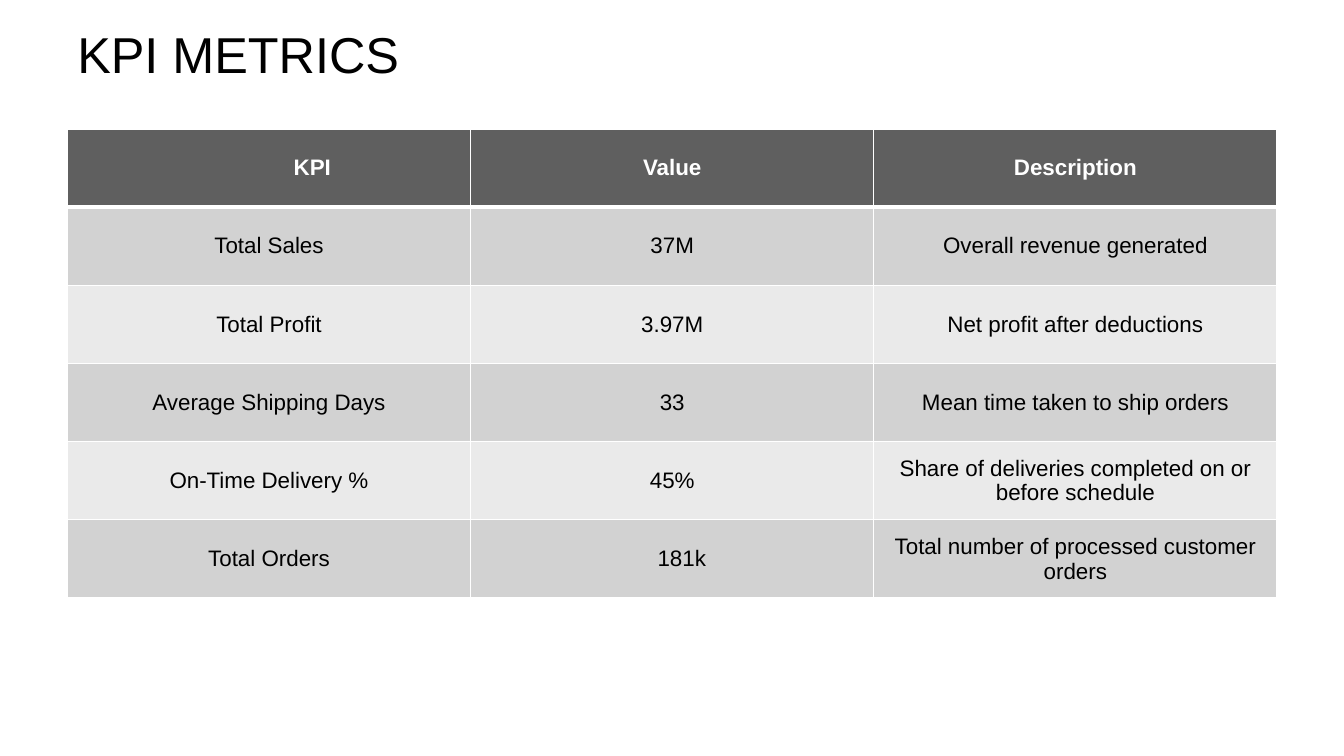
from lxml.etree import SubElement
from pptx import Presentation
from pptx.dml.color import RGBColor
from pptx.enum.text import MSO_ANCHOR as Anchor, PP_ALIGN as Align
from pptx.oxml.ns import qn
from pptx.util import Cm, Pt

WHITE = RGBColor(0xFF, 0xFF, 0xFF)
BLACK = RGBColor(0x00, 0x00, 0x00)
HEADER_GRAY = RGBColor(0x5F, 0x5F, 0x5F)
BANDS = (RGBColor(0xD2, 0xD2, 0xD2), RGBColor(0xEA, 0xEA, 0xEA))

LEFT, CONTENT_WIDTH = Cm(1.7), Cm(30.48)
ROW_HEIGHT = Cm(1.97)

TITLE_FONT = {"name": "Arial", "size": Pt(36), "bold": False}
HEADER_FONT = {"name": "Arial", "size": Pt(16), "bold": True}
BODY_FONT = {"name": "Arial", "size": Pt(16), "bold": False}
CELL_FORMAT = {
    "vertical_anchor": Anchor.MIDDLE,
    "margin_left": 0, "margin_right": 0, "margin_top": 0, "margin_bottom": 0,
}

KPI_ROWS = [
    ("KPI", "Value", "Description"),
    ("Total Sales", "37M", "Overall revenue generated"),
    ("Total Profit", "3.97M", "Net profit after deductions"),
    ("Average Shipping Days", "33", "Mean time taken to ship orders"),
    ("On-Time Delivery %", "45%",
     "Share of deliveries completed on or before schedule"),
    ("Total Orders", "181k", "Total number of processed customer orders"),
]
# Left indents that shift single entries off the column centre
INDENTS = {"KPI": Cm(2.18), "181k": Cm(0.48)}


def apply_format(target, values):
    for name, value in values.items():
        setattr(target, name, value)


def write_text(frame, text, font, color, align):
    paragraph = frame.paragraphs[0]
    paragraph.alignment = align
    run = paragraph.add_run()
    run.text = text
    apply_format(run.font, font)
    run.font.color.rgb = color


def add_title(slide, text):
    title = slide.shapes.add_textbox(LEFT, Cm(0.53), CONTENT_WIDTH, Cm(1.63))
    frame = title.text_frame
    apply_format(frame, {"word_wrap": True, "vertical_anchor": Anchor.MIDDLE})
    write_text(frame, text, TITLE_FONT, BLACK, Align.LEFT)


def set_borders(cell, widths):
    properties = cell._tc.get_or_add_tcPr()
    for side, width in widths.items():
        line = SubElement(properties, qn(f"a:ln{side}"), w=str(Pt(width)))
        fill = SubElement(line, qn("a:solidFill"))
        SubElement(fill, qn("a:srgbClr"), val=str(WHITE))


def fill_cell(cell, text, row):
    is_header = row == 0
    # The rule under the header is thicker than the rest
    set_borders(cell, {"L": 1, "R": 1,
                       "T": 3 if row == 1 else 1,
                       "B": 3 if is_header else 1})
    cell.fill.solid()
    cell.fill.fore_color.rgb = HEADER_GRAY if is_header else BANDS[(row - 1) % 2]
    apply_format(cell, CELL_FORMAT)
    cell.margin_left = INDENTS.get(text, 0)
    write_text(cell.text_frame, text,
               HEADER_FONT if is_header else BODY_FONT,
               WHITE if is_header else BLACK, Align.CENTER)


def add_kpi_table(slide, rows):
    kpi_table = slide.shapes.add_table(
        len(rows), len(rows[0]), LEFT, Cm(3.25),
        CONTENT_WIDTH, ROW_HEIGHT * len(rows)).table
    kpi_table.horz_banding = False
    for row, entries in enumerate(rows):
        for column, text in enumerate(entries):
            fill_cell(kpi_table.cell(row, column), text, row)


def main():
    deck = Presentation()
    apply_format(deck, {"slide_width": Cm(33.87), "slide_height": Cm(19.05)})
    slide = deck.slides.add_slide(deck.slide_layouts[6])

    # Heading
    add_title(slide, "KPI METRICS")

    # Metrics with their values and meanings
    add_kpi_table(slide, KPI_ROWS)

    deck.save("out.pptx")


if __name__ == "__main__":
    main()
